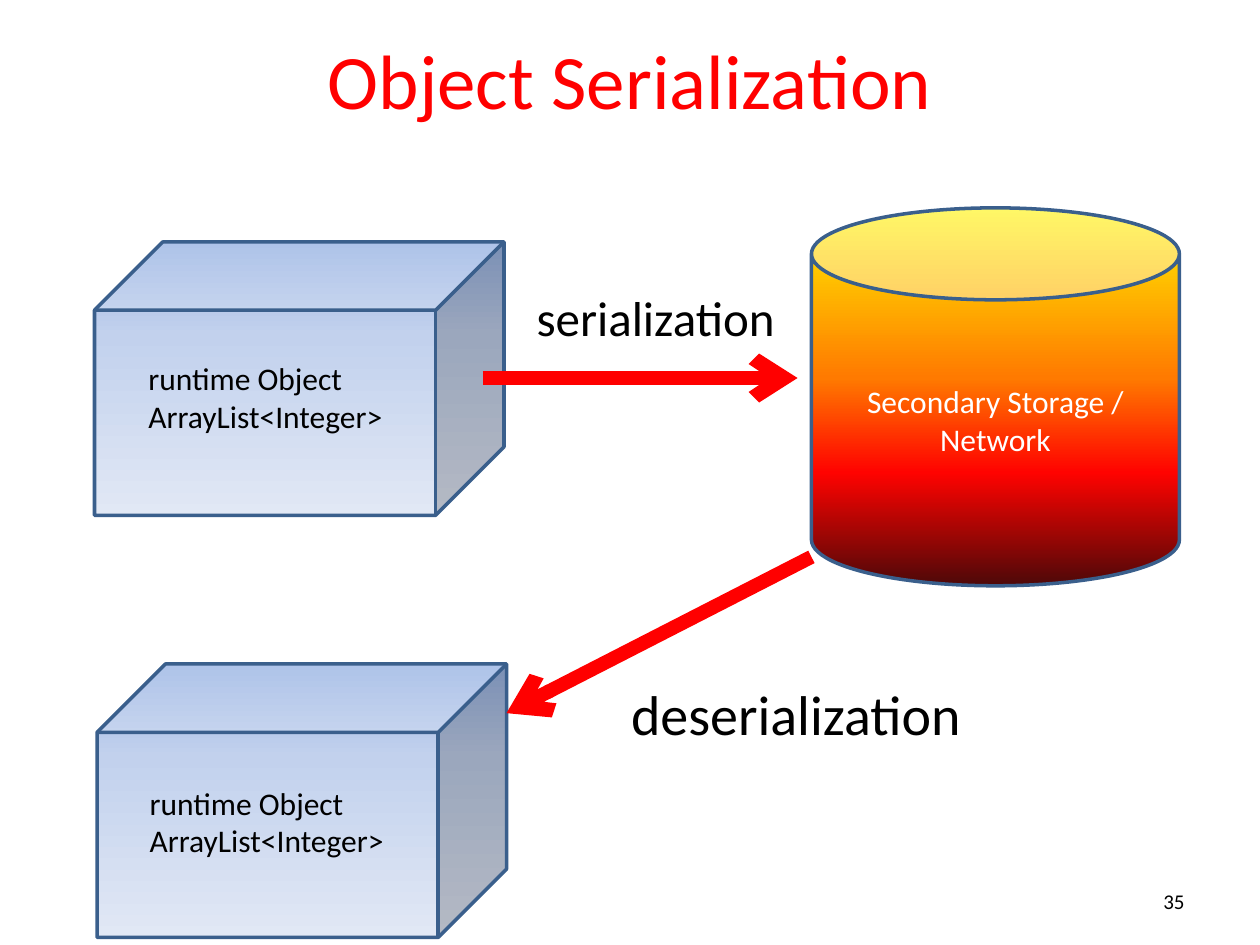
from lxml.etree import SubElement
from pptx import Presentation
from pptx.dml.color import RGBColor
from pptx.enum.shapes import MSO_CONNECTOR as Connector, MSO_SHAPE as Shape
from pptx.enum.text import MSO_ANCHOR as Anchor, MSO_AUTO_SIZE as AutoSize, PP_ALIGN as Align
from pptx.oxml.ns import qn
from pptx.util import Inches, Pt

COLORS = {"red": "FF0000", "black": "000000", "white": "FFFFFF", "outline": "3A5F8C"}
OBJECT_STOPS = [(0, "9AB5E4"), (34, "C2D1ED"), (100, "E1E8F5")]
STORAGE_STOPS = [(0, "FFF200"), (45, "FF7A00"), (70, "FF0300"), (100, "4D0808")]

prs = Presentation()
prs.slide_width, prs.slide_height = Inches(10), Inches(7.5)
slide = prs.slides.add_slide(prs.slide_layouts[6])
shapes = slide.shapes


def write(frame, text, size=18, color="black", align=Align.LEFT,
          anchor=Anchor.TOP, wrap=True, grow=False):
    frame.word_wrap = wrap
    frame.vertical_anchor = anchor
    frame.auto_size = AutoSize.SHAPE_TO_FIT_TEXT if grow else AutoSize.NONE
    paragraph = frame.paragraphs[0]
    paragraph.text = text
    paragraph.alignment = align
    for run in paragraph.runs:
        run.font.name = "Calibri"
        run.font.size = Pt(size)
        run.font.color.rgb = RGBColor.from_string(COLORS[color])


def add_solid(kind, box, stops):
    solid = shapes.add_shape(kind, *map(Inches, box))
    solid.shadow.inherit = False
    solid.fill.gradient()
    solid.fill.gradient_angle = 270
    stop_list = solid._element.spPr.find(qn("a:gradFill")).find(qn("a:gsLst"))
    for old_stop in list(stop_list):
        stop_list.remove(old_stop)
    for position, color in stops:
        stop = SubElement(stop_list, qn("a:gs"), pos=str(position * 1000))
        SubElement(stop, qn("a:srgbClr"), val=color)
    solid.line.color.rgb = RGBColor.from_string(COLORS["outline"])
    solid.line.width = Pt(2)
    return solid


for left, top in [(0.75, 1.92), (0.77, 5.27)]:
    add_solid(Shape.CUBE, (left, top, 3.25, 2.17), OBJECT_STOPS)

storage = add_solid(Shape.CAN, (6.44, 1.65, 2.92, 3), STORAGE_STOPS)
write(storage.text_frame, "Secondary Storage / Network", color="white",
      align=Align.CENTER, anchor=Anchor.MIDDLE)

for start_x, start_y, end_x, end_y in [(3.83, 3, 6.33, 3), (6.44, 4.42, 4.02, 5.66)]:
    arrow = shapes.add_connector(Connector.STRAIGHT, Inches(start_x), Inches(start_y),
                                 Inches(end_x), Inches(end_y))
    arrow.line.color.rgb = RGBColor.from_string(COLORS["red"])
    arrow.line.width = Pt(8)
    SubElement(arrow.line._get_or_add_ln(), qn("a:tailEnd"), type="arrow")
    SubElement(arrow._element.spPr, qn("a:effectLst"))

object_text = "runtime Object\nArrayList<Integer>"
labels = [
    ("Object Serialization", (0.5, 0, 9, 1.25),
     dict(size=44, color="red", align=Align.CENTER, anchor=Anchor.MIDDLE)),
    ("35", (7.17, 6.95, 2.33, 0.4), dict(size=12, align=Align.RIGHT, anchor=Anchor.MIDDLE)),
    (object_text, (1.08, 2.8, 2.17, 0.71), dict(grow=True)),
    (object_text, (1.09, 6.17, 2.17, 0.71), dict(grow=True)),
    ("serialization", (4.16, 2.23, 2.12, 0.57), dict(size=28, wrap=False, grow=True)),
    ("deserialization", (4.91, 5.34, 2.85, 0.64), dict(size=32, wrap=False, grow=True)),
]
for text, box, style in labels:
    write(shapes.add_textbox(*map(Inches, box)).text_frame, text, **style)

prs.save("out.pptx")
